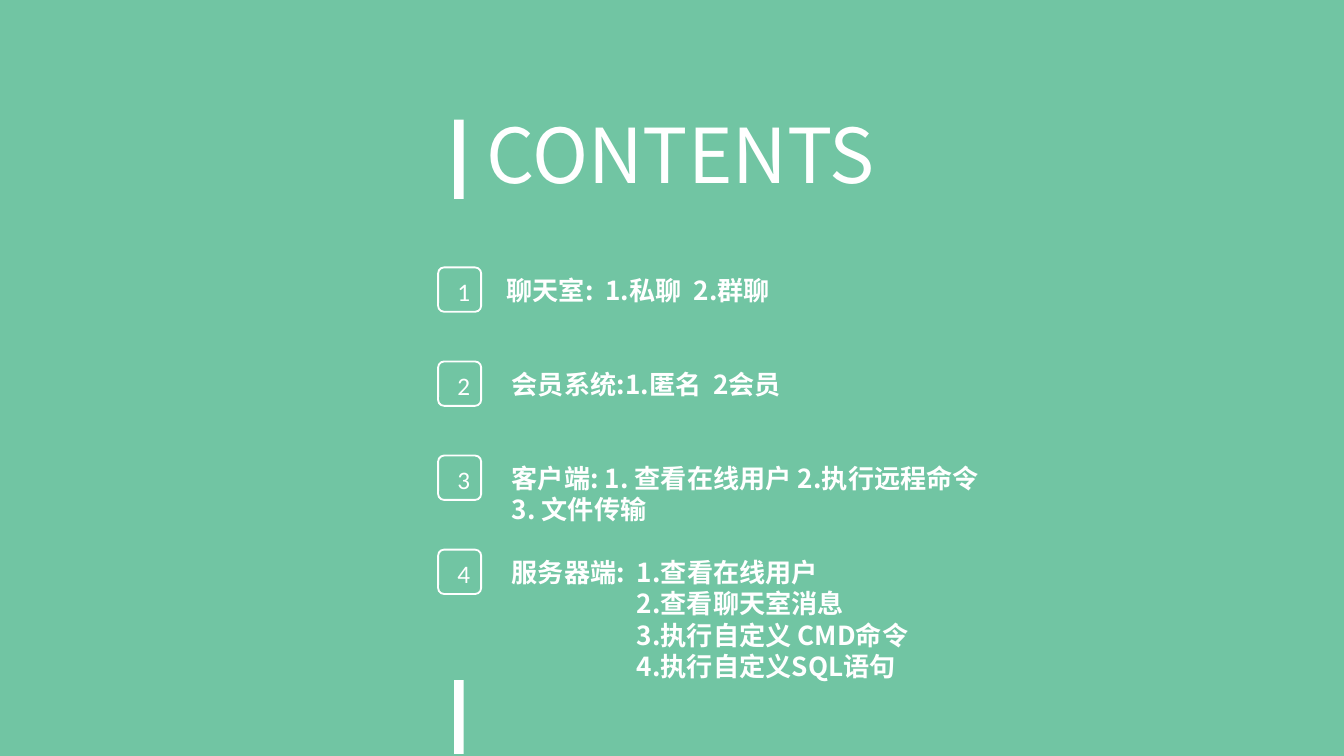
from lxml import etree
from pptx import Presentation
from pptx.dml.color import RGBColor
from pptx.enum.shapes import MSO_SHAPE
from pptx.enum.text import MSO_ANCHOR, MSO_AUTO_SIZE, PP_ALIGN
from pptx.oxml.ns import qn
from pptx.util import Inches, Pt

RECTANGLE = MSO_SHAPE.RECTANGLE
ROUNDED = MSO_SHAPE.ROUNDED_RECTANGLE
MIDDLE = MSO_ANCHOR.MIDDLE
CENTER = PP_ALIGN.CENTER
LEFT = PP_ALIGN.LEFT
GROW = MSO_AUTO_SIZE.SHAPE_TO_FIT_TEXT

COLORS = {"background": "71C5A3", "ink": "FFFFFF"}
HEADING_FONT = "Noto Sans CJK KR"
NUMBER_FONT = "Calibri"
ROW_PITCH = 0.7
LINE_HEIGHT = 0.23
SUBITEM_INDENT = 0.93

TOPICS = [
    (0.41, ["聊天室:  1.私聊  2.群聊"], []),
    (0.45, ["会员系统:1.匿名  2会员"], []),
    (0.45, ["客户端: 1. 查看在线用户 2.执行远程命令\n3. 文件传输"], []),
    (0.45, ["服务器端:  1.查看在线用户"],
     ["2.查看聊天室消息", "3.执行自定义 CMD命令", "4.执行自定义SQL语句"]),
]


def color(name):
    return RGBColor.from_string(COLORS[name])


def write(para, text, font, size, bold=False, align=LEFT, indent=0):
    para.alignment = align
    if indent:
        para._p.get_or_add_pPr().set("marL", str(Inches(indent)))
    for index, line in enumerate(text.split("\n")):
        if index:
            para.add_line_break()
        span = para.add_run()
        span.text = line
        span.font.name = font
        span.font.size = Pt(size)
        span.font.bold = bold
        span.font.color.rgb = color("ink")
        east_asian = etree.SubElement(span._r.get_or_add_rPr(), qn("a:ea"))
        east_asian.set("typeface", font)


def add_text(page, left, top, width, height, lines, subitems=(), wrap=True, **style):
    box = page.shapes.add_textbox(Inches(left), Inches(top), Inches(width), Inches(height))
    frame = box.text_frame
    frame.word_wrap = wrap
    frame.auto_size = GROW
    entries = [(line, 0) for line in lines] + [(line, SUBITEM_INDENT) for line in subitems]
    for index, (line, indent) in enumerate(entries):
        para = frame.add_paragraph() if index else frame.paragraphs[0]
        write(para, line, indent=indent, **style)


def add_bar(page, left, top, height):
    bar = page.shapes.add_shape(RECTANGLE, Inches(left), Inches(top), Inches(0.07), Inches(height))
    bar.shadow.inherit = False
    bar.fill.solid()
    bar.fill.fore_color.rgb = color("ink")
    bar.line.fill.background()


def add_badge(page, left, top, number):
    badge = page.shapes.add_shape(ROUNDED, Inches(left), Inches(top), Inches(0.32), Inches(0.33))
    badge.adjustments[0] = 0.14
    badge.shadow.inherit = False
    badge.fill.background()
    badge.line.color.rgb = color("ink")
    badge.line.width = Pt(1)
    frame = badge.text_frame
    frame.margin_left, frame.margin_top = Inches(0.06), Inches(0.02)
    frame.margin_right = frame.margin_bottom = 0
    frame.vertical_anchor = MIDDLE
    write(frame.paragraphs[0], str(number), NUMBER_FONT, 13.5, align=CENTER)


def add_heading(page, left, top):
    add_bar(page, left, top + 0.14, 0.59)
    add_text(page, left + 0.14, top, 3.21, 0.78, ["CONTENTS"],
             wrap=False, font=HEADING_FONT, size=40.5)


def add_topics(page, left, top):
    for index, (offset, lines, subitems) in enumerate(TOPICS):
        row_top = top + index * ROW_PITCH
        line_count = sum(line.count("\n") + 1 for line in lines + subitems)
        add_badge(page, left, row_top, index + 1)
        add_text(page, left + offset, row_top, 4.16, 0.1 + LINE_HEIGHT * line_count,
                 lines, subitems, font=HEADING_FONT, size=14, bold=True)


def main():
    deck = Presentation()
    deck.slide_width = Inches(10)
    deck.slide_height = deck.slide_width * 9 // 16
    page = deck.slides.add_slide(deck.slide_layouts[6])
    page.background.fill.solid()
    page.background.fill.fore_color.rgb = color("background")
    add_heading(page, 3.38, 0.75)
    add_topics(page, 3.26, 1.99)
    add_bar(page, 3.38, 5.06, 0.55)
    deck.save("out.pptx")


if __name__ == "__main__":
    main()
